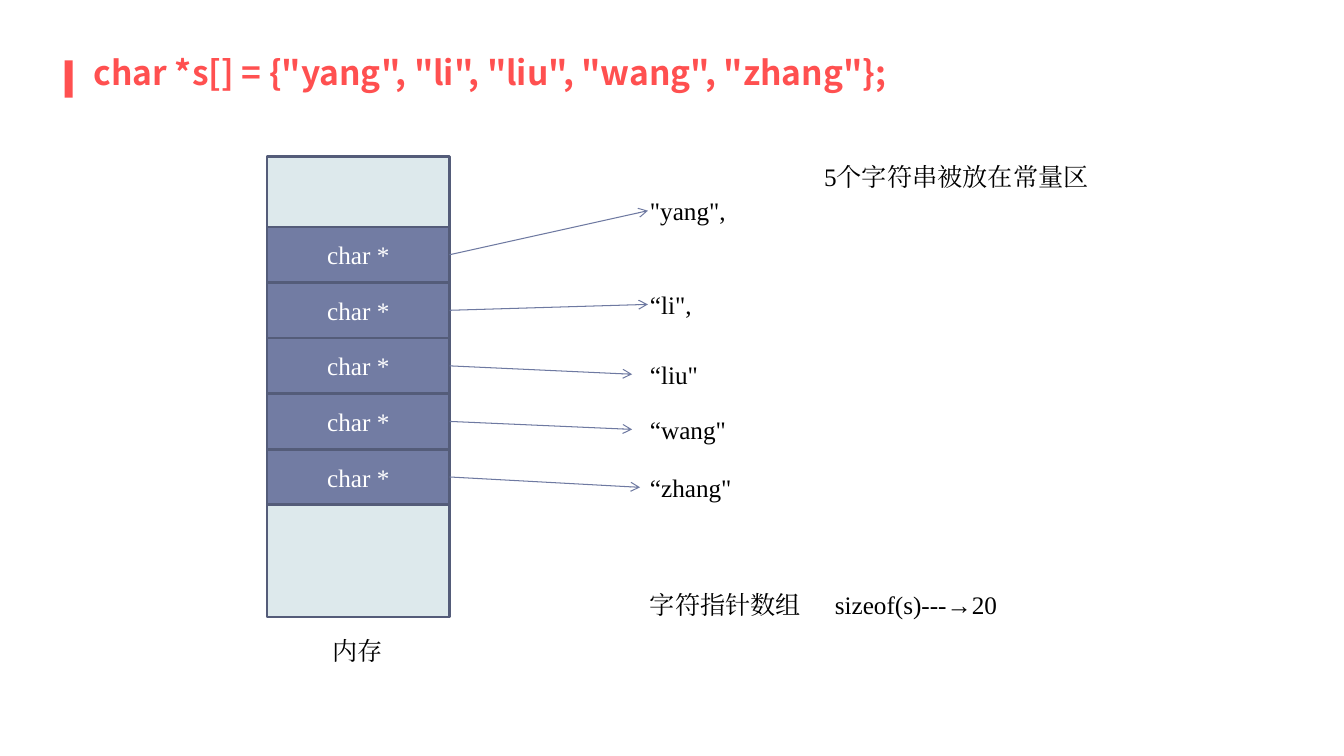
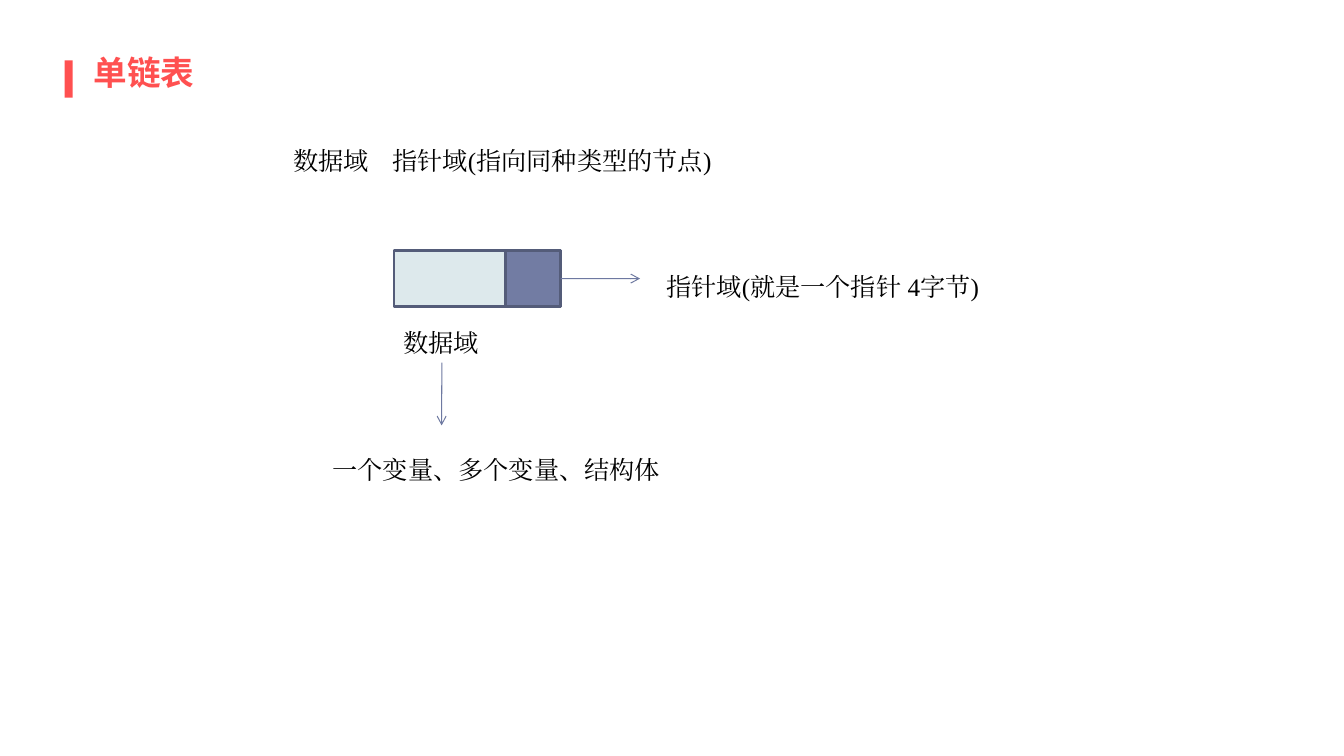
from lxml import etree
from pptx import Presentation
from pptx.dml.color import RGBColor
from pptx.enum import shapes, text
from pptx.oxml import ns
from pptx.util import Cm, Pt

ACCENT, PALE, DARK = "FF5050", "DDE9EC", "727CA3"
BORDER, ARROW, BLACK, WHITE = "545C79", "6E79A1", "000000", "FFFFFF"
TITLE_FONT, BODY_FONT = "Noto Sans CJK SC", "Times New Roman"
CELL = 1.4
LABEL_HEIGHT = 1.02


def color(hex_string):
    return RGBColor.from_string(hex_string)


def write(shape, words, hex_string=BLACK, size=18, name=BODY_FONT, bold=False, tab=None):
    """Fill the shape with one paragraph; tab is the distance of a tab stop in cm."""
    paragraph = shape.text_frame.paragraphs[0]
    paragraph.text = words
    properties = paragraph._p.get_or_add_pPr()
    if tab:
        stops = etree.SubElement(properties, ns.qn("a:tabLst"))
        etree.SubElement(stops, ns.qn("a:tab"), pos=str(Cm(tab)), algn="l")
    font = paragraph.font
    font.size, font.bold, font.name = Pt(size), bold, name
    font.color.rgb = color(hex_string)
    defaults = properties.find(ns.qn("a:defRPr"))
    etree.SubElement(defaults, ns.qn("a:ea"), typeface=name)
    return paragraph


def add_label(slide, words, left, top, width, tab=None):
    label = slide.shapes.add_textbox(Cm(left), Cm(top), Cm(width), Cm(LABEL_HEIGHT))
    label.text_frame.word_wrap = True
    write(label, words, tab=tab)
    return label


def add_box(slide, left, top, width, height, fill, border=BORDER):
    box = slide.shapes.add_shape(
        shapes.MSO_SHAPE.RECTANGLE, Cm(left), Cm(top), Cm(width), Cm(height))
    box.shadow.inherit = False
    box.fill.solid()
    box.fill.fore_color.rgb = color(fill)
    if border:
        box.line.color.rgb = color(border)
        box.line.width = Pt(2)
    else:
        box.line.fill.background()
    return box


def add_arrow(slide, source, site, end_x, end_y):
    """Draw an arrow from a connection site of source to a point in cm."""
    arrow = slide.shapes.add_connector(
        shapes.MSO_CONNECTOR.STRAIGHT, 0, 0, Cm(end_x), Cm(end_y))
    arrow.begin_connect(source, site)
    arrow.line.color.rgb = color(ARROW)
    arrow.line.width = Pt(0.75)
    etree.SubElement(arrow.line._get_or_add_ln(), ns.qn("a:tailEnd"), type="arrow")
    etree.SubElement(arrow._element.spPr, ns.qn("a:effectLst"))
    return arrow


def add_titled_slide(presentation, title):
    slide = presentation.slides.add_slide(presentation.slide_layouts[6])
    add_box(slide, 1.63, 1.52, 0.2, 0.94, ACCENT, border=None)
    heading = slide.shapes.add_textbox(Cm(2.11), Cm(1.3), Cm(29.67), Cm(1.17))
    heading.text_frame.word_wrap = True
    heading.text_frame.margin_top = heading.text_frame.margin_bottom = 0
    write(heading, title, ACCENT, 24, TITLE_FONT, bold=True)
    return slide


def add_memory(slide, left, top, width, height, count):
    """Draw the memory column and return its pointer cells."""
    add_box(slide, left, top, width, height, PALE)
    add_label(slide, "内存", left + 1.4, top + height + 0.33, 1.9)
    cells = []
    for row in range(count):
        cell = add_box(slide, left, top + 1.78 + row * CELL, width, CELL, DARK)
        cell.text_frame.vertical_anchor = text.MSO_ANCHOR.MIDDLE
        write(cell, "char *", WHITE).alignment = text.PP_ALIGN.CENTER
        cells.append(cell)
    return cells


def add_strings(slide, left, cells, strings):
    """Place each string at its top and point the matching cell at it."""
    for cell, (words, top, gap) in zip(cells, strings):
        label = add_label(slide, words, left, top, 2.7)
        arrow = add_arrow(slide, cell, 3, left + gap, top + LABEL_HEIGHT / 2)
        if gap == 0:
            arrow.end_connect(label, 1)


def add_pointer_array_slide(presentation):
    slide = add_titled_slide(
        presentation, 'char *s[] = {"yang", "li", "liu", "wang", "zhang"};')
    strings = [('"yang",', 4.8, 0.2), ('“li",', 7.16, 0.2), ('“liu"', 8.92, -0.2),
               ('“wang"', 10.31, -0.2), ('“zhang"', 11.77, 0)]
    cells = add_memory(slide, 6.73, 3.94, 4.6, 11.61, len(strings))
    add_strings(slide, 16.13, cells, strings)
    add_label(slide, "字符指针数组\tsizeof(s)---→20", 16.13, 14.73, 9.6, tab=4.66)
    add_label(slide, "5个字符串被放在常量区", 20.52, 3.94, 7.24)


def add_node(slide, left, top):
    """Draw a list node with its data part, its pointer part and their captions."""
    add_box(slide, left, top, 3 * CELL, CELL, PALE)
    pointer = add_box(slide, left + 2 * CELL, top, CELL, CELL, DARK)
    add_arrow(slide, pointer, 3, left + 6.2, top + CELL / 2)
    add_label(slide, "指针域(就是一个指针 4字节)", left + 6.61, top + 0.4, 8.48)
    data = add_label(slide, "数据域", left - 0.02, top + 1.8, 2.45)
    add_arrow(slide, data, 2, left + 1.2, top + 4.4)
    add_label(slide, "一个变量、多个变量、结构体", left - 1.8, top + 5, 9)


def add_linked_list_slide(presentation):
    slide = add_titled_slide(presentation, "单链表")
    add_label(slide, "数据域\t指针域(指向同种类型的节点)", 7.14, 3.53, 11.2, tab=2.5)
    add_node(slide, 9.93, 6.32)


def main():
    presentation = Presentation()
    presentation.slide_width, presentation.slide_height = Cm(33.87), Cm(19.05)
    add_pointer_array_slide(presentation)
    add_linked_list_slide(presentation)
    presentation.save("out.pptx")


if __name__ == "__main__":
    main()
